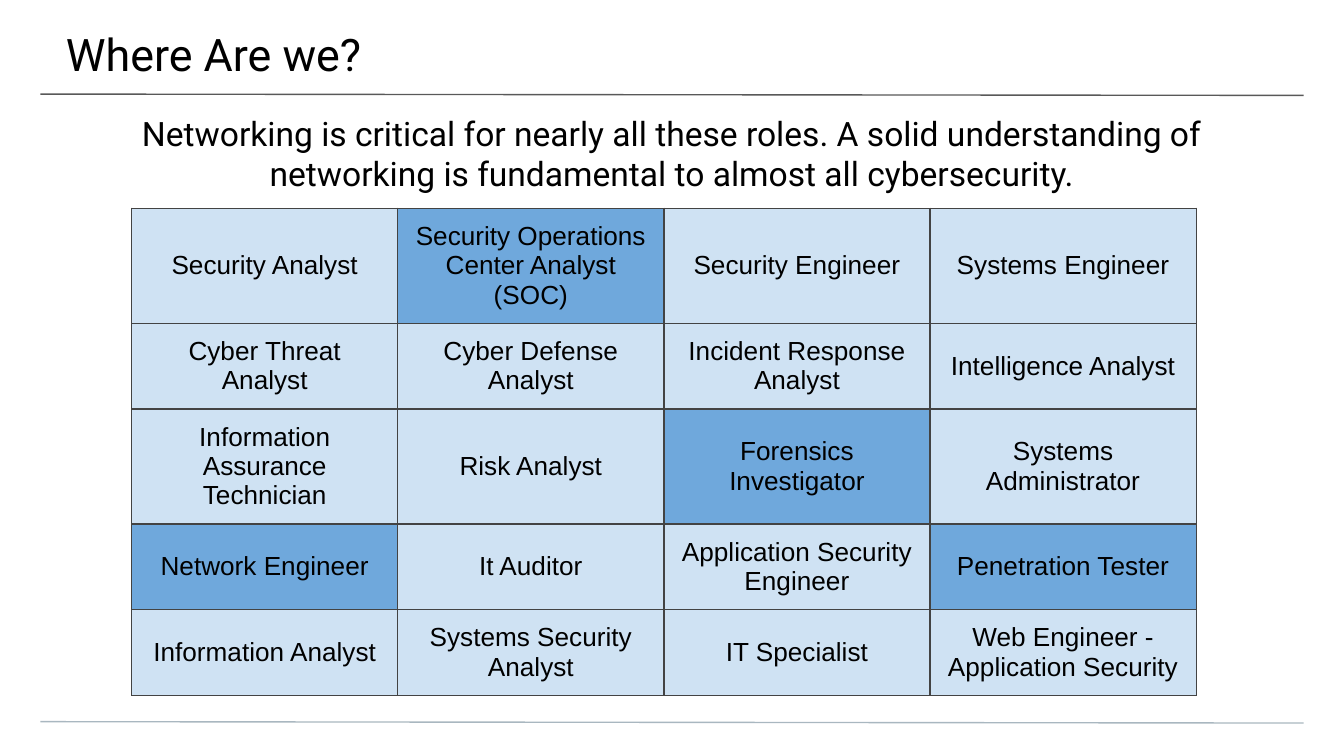
import pptx
import pptx.util
import pptx.dml.color
import pptx.enum.shapes
import pptx.enum.text
import pptx.oxml
import pptx.oxml.ns
from lxml import etree

Inches, Pt = pptx.util.Inches, pptx.util.Pt
ANCHOR = pptx.enum.text.MSO_ANCHOR
ALIGN = pptx.enum.text.PP_ALIGN

COLORS = {
    "text": "000000",
    "title_rule": "595959",
    "footer_rule": "A9B7C0",
    "border": "434343",
    "role": "CFE2F3",
    "highlight": "6FA8DC",
}

ROLES = [
    ["Security Analyst", "Security Operations Center Analyst (SOC)",
     "Security Engineer", "Systems Engineer"],
    ["Cyber Threat Analyst", "Cyber Defense Analyst",
     "Incident Response Analyst", "Intelligence Analyst"],
    ["Information Assurance Technician", "Risk Analyst",
     "Forensics Investigator", "Systems Administrator"],
    ["Network Engineer", "It Auditor",
     "Application Security Engineer", "Penetration Tester"],
    ["Information Analyst", "Systems Security Analyst",
     "IT Specialist", "Web Engineer - Application Security"],
]
HIGHLIGHTED = {
    "Security Operations Center Analyst (SOC)", "Forensics Investigator",
    "Network Engineer", "Penetration Tester",
}


def rgb(name):
    return pptx.dml.color.RGBColor.from_string(COLORS[name])


def write(tf, text, font="Roboto", size=18, color="text", align=ALIGN.CENTER):
    """Fill a text frame with one formatted paragraph."""
    p = tf.paragraphs[0]
    p.alignment = align
    p.space_before = Pt(0)
    r = p.add_run()
    r.text = text
    r.font.name = font
    r.font.size = Pt(size)
    r.font.color.rgb = rgb(color)


class SlideBuilder:
    """Holds the table style and the current slide."""
    cell_font, cell_size, line_width = "Arial", 14, 0.75

    def __init__(self, s):
        self.s = s

    def placeholder(self, sp, text, box, insets, **fmt):
        sp.left, sp.top, sp.width, sp.height = map(Inches, box)
        tf = sp.text_frame
        tf.word_wrap = True
        tf.auto_size = pptx.enum.text.MSO_AUTO_SIZE.NONE
        tf.vertical_anchor = ANCHOR.TOP
        (tf.margin_left, tf.margin_top,
         tf.margin_right, tf.margin_bottom) = map(Inches, insets)
        write(tf, text, **fmt)

    def rule(self, y, color):
        line = self.s.shapes.add_connector(
            pptx.enum.shapes.MSO_CONNECTOR.STRAIGHT,
            Inches(0.3), Inches(y), Inches(9.7), Inches(y + 0.01))
        line.line.color.rgb = rgb(color)
        line.line.width = Pt(self.line_width)
        etree.SubElement(line._element.spPr, pptx.oxml.ns.qn("a:effectLst"))

    def cell_borders(self, cell):
        tcPr = cell._tc.get_or_add_tcPr()
        for i, side in enumerate("LRTB"):
            tcPr.insert(i, pptx.oxml.parse_xml(
                f'<a:ln{side} {pptx.oxml.ns.nsdecls("a")} w="{Pt(self.line_width)}">'
                f'<a:solidFill><a:srgbClr val="{COLORS["border"]}"/></a:solidFill>'
                f'</a:ln{side}>'))

    def table(self, rows, left, top, col_width, row_height):
        n_rows, n_cols = len(rows), len(rows[0])
        table = self.s.shapes.add_table(
            n_rows, n_cols, Inches(left), Inches(top),
            Inches(col_width * n_cols), Inches(row_height * n_rows)).table
        table.first_row = table.horz_banding = False
        for cell, text in zip(table.iter_cells(), sum(rows, [])):
            cell.fill.solid()
            cell.fill.fore_color.rgb = rgb(
                "highlight" if text in HIGHLIGHTED else "role")
            cell.vertical_anchor = ANCHOR.MIDDLE
            cell.margin_left = cell.margin_right = Inches(0.1)
            cell.margin_top = cell.margin_bottom = Inches(0.1)
            self.cell_borders(cell)
            write(cell.text_frame, text, font=self.cell_font, size=self.cell_size)


def main():
    # Widescreen 16:9
    prs = pptx.Presentation()
    prs.slide_width = Inches(10)
    prs.slide_height = prs.slide_width * 9 // 16
    s = prs.slides.add_slide(prs.slide_layouts[0])
    builder = SlideBuilder(s)

    # Rules under the title and above the footer
    builder.rule(0.7, "title_rule")
    builder.rule(5.37, "footer_rule")

    # Title and subtitle
    builder.placeholder(s.shapes.title, "Where Are we?",
                        (-0.01, 0, 10.03, 0.58), (0.5, 0.2, 0.3, 0.1),
                        size=24, align=ALIGN.LEFT)
    builder.placeholder(s.placeholders[1],
                        "Networking is critical for nearly all these roles. "
                        "A solid understanding of networking is fundamental "
                        "to almost all cybersecurity.",
                        (0, 0.74, 10, 0.4), (0.5, 0.1, 0.5, 0))

    # Roles; rows grow to fit their text
    builder.table(ROLES, 0.98, 1.55, 1.98, 0.42)

    prs.save("out.pptx")


if __name__ == "__main__":
    main()
